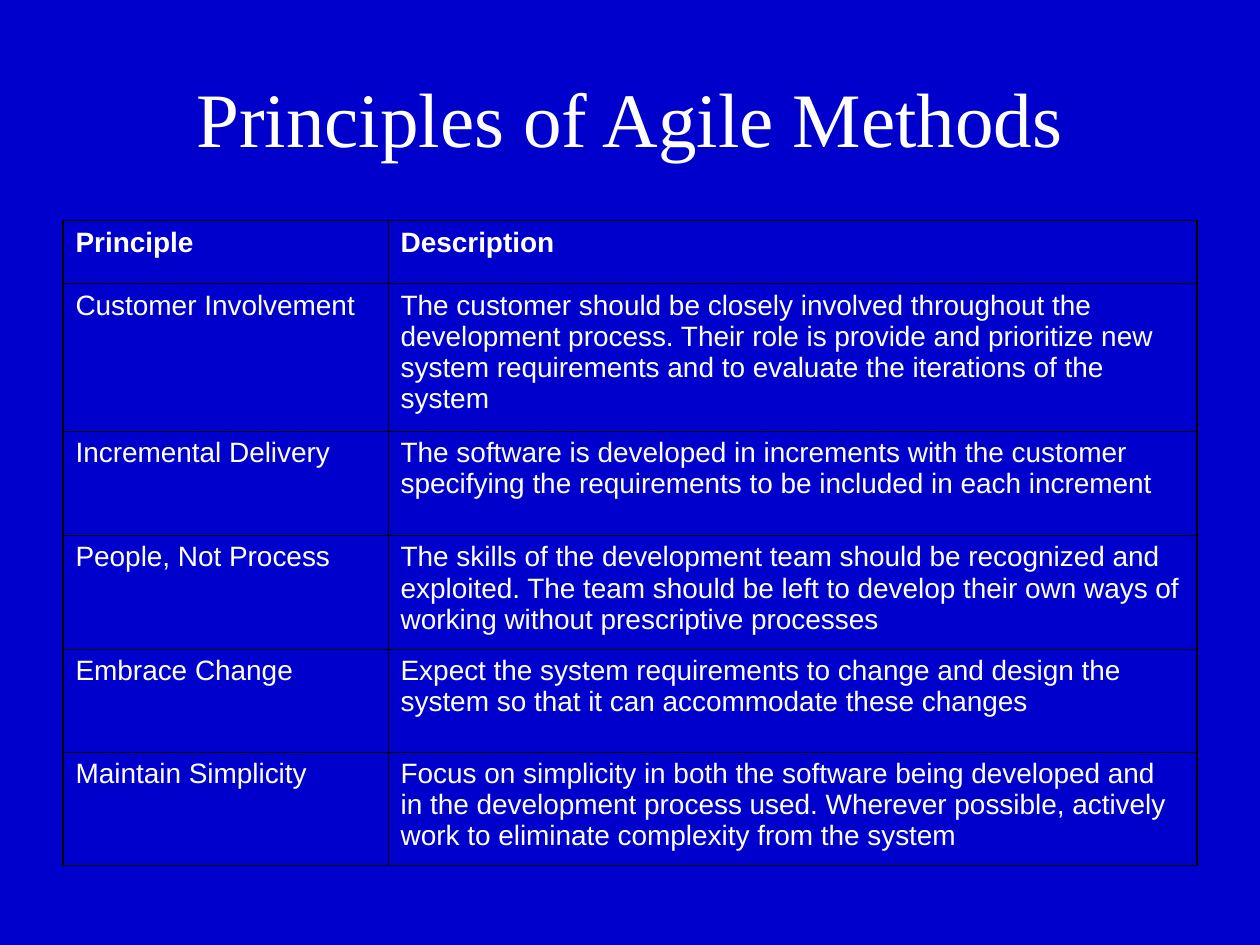
import pptx
import pptx.dml.color
import pptx.enum.text
import pptx.oxml
import pptx.oxml.ns
import pptx.util

TITLE = "Principles of Agile Methods"
HEADER = ("Principle", "Description")
PRINCIPLES = [
    ("Customer Involvement",
     "The customer should be closely involved throughout the development process. "
     "Their role is provide and prioritize new system requirements and to evaluate "
     "the iterations of the system"),
    ("Incremental Delivery",
     "The software is developed in increments with the customer specifying the "
     "requirements to be included in each increment"),
    ("People, Not Process",
     "The skills of the development team should be recognized and exploited. The team "
     "should be left to develop their own ways of working without prescriptive processes"),
    ("Embrace Change",
     "Expect the system requirements to change and design the system so that it can "
     "accommodate these changes"),
    ("Maintain Simplicity",
     "Focus on simplicity in both the software being developed and in the development "
     "process used. Wherever possible, actively work to eliminate complexity from the "
     "system"),
]

THEME = {
    "background": "0000CC", "text": "FFFFFF", "border": "000000",
    "title_font": "Times New Roman", "title_size": 44,
    "table_font": "Arial", "table_size": 16,
    "outer_line": 1.08, "inner_line": 0.45,
}

# Layout in inches
SLIDE_WIDTH, SLIDE_HEIGHT = 10, 7.5
MARGIN = SLIDE_WIDTH * 0.05
CONTENT_WIDTH = SLIDE_WIDTH - 2 * MARGIN
TITLE_TOP, TITLE_HEIGHT = 0.3, 1.25
TABLE_TOP = 1.75
COLUMN_WIDTHS = (2.58, 6.42)
ROW_HEIGHTS = (0.5, 1.17, 0.83, 0.9, 0.82, 0.9)

inches = pptx.util.Inches


def color(name):
    return pptx.dml.color.RGBColor.from_string(THEME[name])


def style_text(paragraph, kind, bold=False):
    for run in paragraph.runs:
        run.font.name = THEME[f"{kind}_font"]
        run.font.size = pptx.util.Pt(THEME[f"{kind}_size"])
        run.font.bold = bold
        run.font.color.rgb = color("text")


def set_borders(cell, outer_sides):
    """Draw heavier lines on the sides that lie on the table's outline."""
    properties = cell._tc.get_or_add_tcPr()
    for position, side in enumerate("LRTB"):
        weight = THEME["outer_line" if side in outer_sides else "inner_line"]
        line = pptx.oxml.parse_xml(
            f'<a:ln{side} {pptx.oxml.ns.nsdecls("a")} w="{int(pptx.util.Pt(weight))}">'
            f'<a:solidFill><a:srgbClr val="{THEME["border"]}"/></a:solidFill></a:ln{side}>')
        properties.insert(position, line)


def add_title(slide):
    box = slide.shapes.add_textbox(inches(MARGIN), inches(TITLE_TOP),
                                   inches(CONTENT_WIDTH), inches(TITLE_HEIGHT))
    frame = box.text_frame
    frame.word_wrap = True
    frame.vertical_anchor = pptx.enum.text.MSO_ANCHOR.MIDDLE
    frame.text = TITLE
    frame.paragraphs[0].alignment = pptx.enum.text.PP_ALIGN.CENTER
    style_text(frame.paragraphs[0], "title")


def add_principles_table(slide):
    rows = [HEADER, *PRINCIPLES]
    table = slide.shapes.add_table(
        len(rows), len(HEADER), inches(MARGIN), inches(TABLE_TOP),
        inches(CONTENT_WIDTH), inches(sum(ROW_HEIGHTS))).table
    table.horz_banding = False
    for column, width in zip(table.columns, COLUMN_WIDTHS):
        column.width = inches(width)
    for row, height in zip(table.rows, ROW_HEIGHTS):
        row.height = inches(height)

    for r, texts in enumerate(rows):
        for c, text in enumerate(texts):
            cell = table.cell(r, c)
            cell.fill.background()
            cell.text_frame.text = text
            style_text(cell.text_frame.paragraphs[0], "table", bold=r == 0)
            edges = {"L": c == 0, "R": c == len(HEADER) - 1,
                     "T": r == 0, "B": r == len(rows) - 1}
            set_borders(cell, [side for side, outer in edges.items() if outer])


def main():
    presentation = pptx.Presentation()
    presentation.slide_width = inches(SLIDE_WIDTH)
    presentation.slide_height = inches(SLIDE_HEIGHT)
    slide = presentation.slides.add_slide(presentation.slide_layouts[6])
    slide.background.fill.solid()
    slide.background.fill.fore_color.rgb = color("background")
    add_title(slide)
    add_principles_table(slide)
    presentation.save("out.pptx")


if __name__ == "__main__":
    main()
